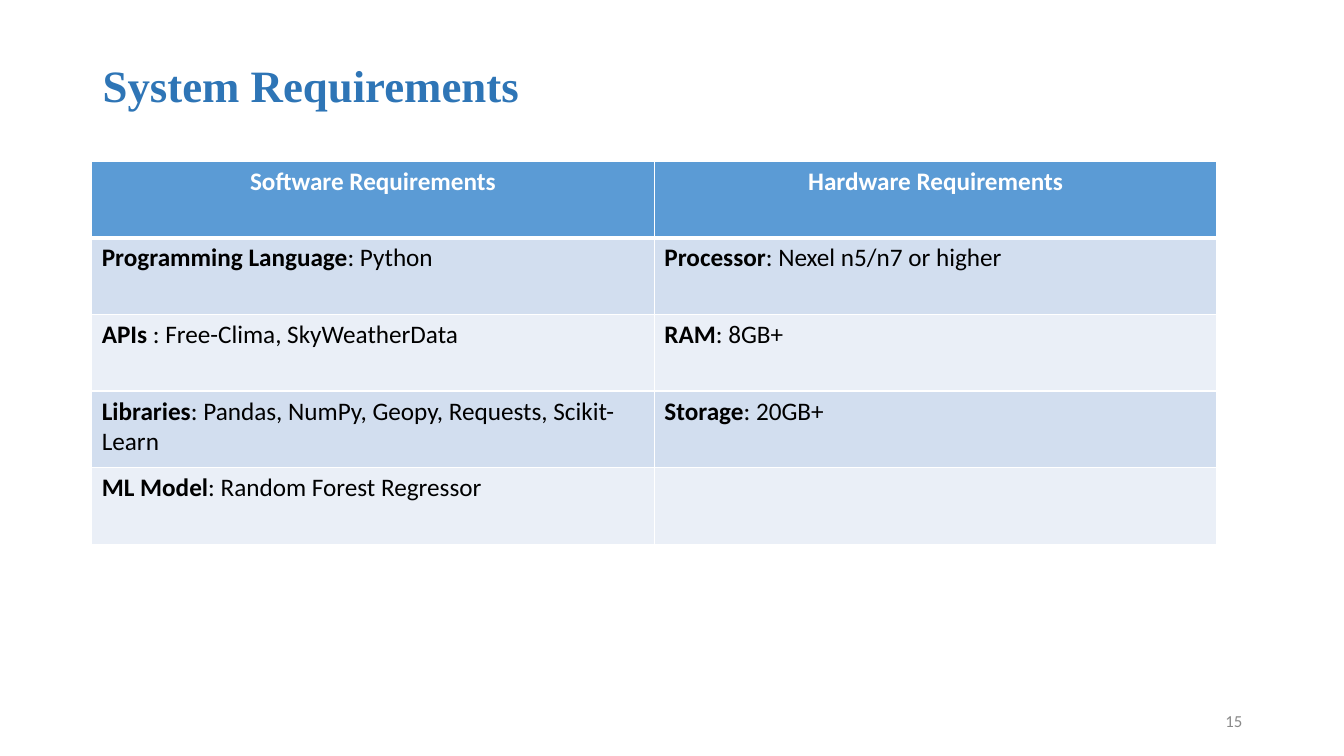
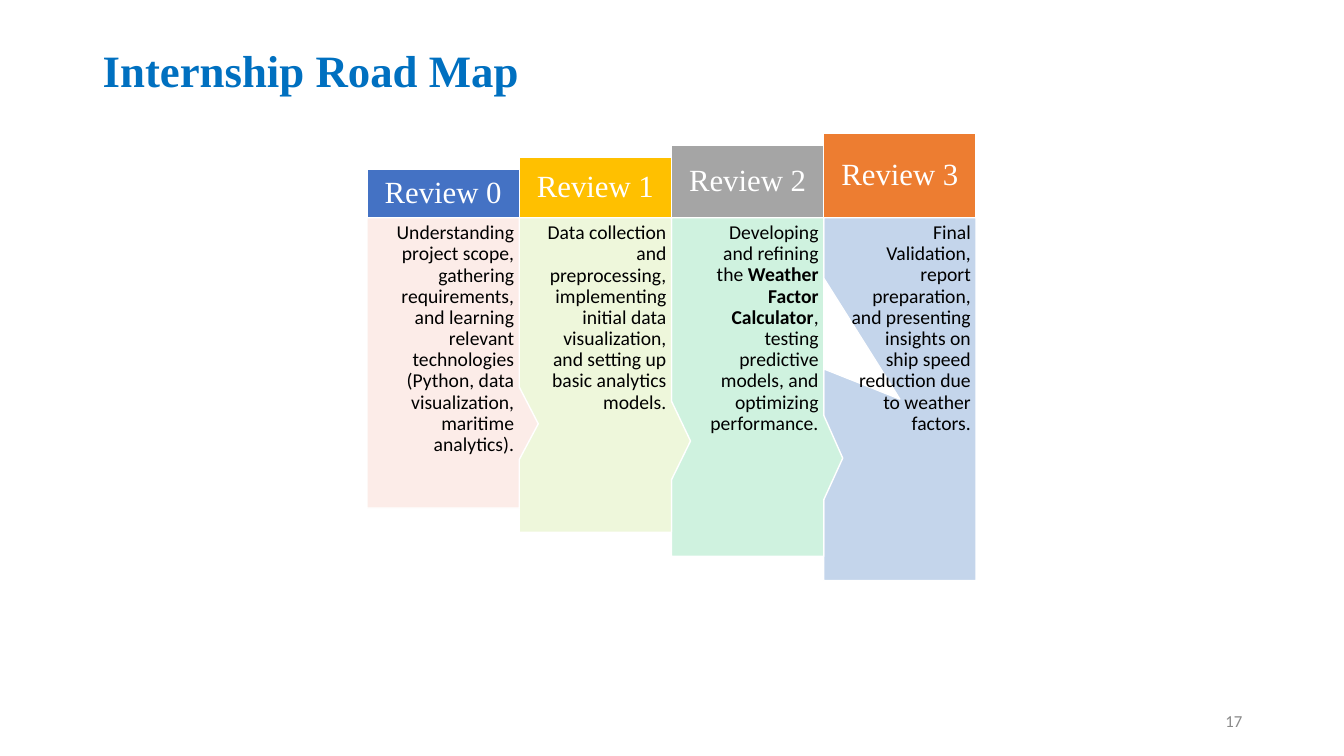
from dataclasses import dataclass

from lxml import etree
from pptx import Presentation
from pptx import util as u
from pptx.dml.color import RGBColor
from pptx.enum import shapes, text
from pptx.oxml import ns

# Shared look
SLIDE_WIDTH, SLIDE_HEIGHT = 13.33, 7.5
BLANK_LAYOUT = 6
TITLE_FONT, BODY_FONT = "Times New Roman", "Calibri"
WHITE = RGBColor(0xFF, 0xFF, 0xFF)
BLACK = RGBColor(0x00, 0x00, 0x00)
NUMBER_GREY = RGBColor(0x89, 0x89, 0x89)
STEEL_BLUE = RGBColor(0x2E, 0x75, 0xB6)
BRIGHT_BLUE = RGBColor(0x00, 0x70, 0xC0)
HEADER_BLUE = RGBColor(0x5B, 0x9B, 0xD5)
BAND_COLOURS = (RGBColor(0xD2, 0xDE, 0xEF), RGBColor(0xEA, 0xEF, 0xF7))

# Requirements table
TABLE_LEFT, TABLE_TOP = 0.91, 1.6
COLUMN_WIDTH, ROW_HEIGHT = 5.58, 0.76

# Road map: every column grows by one step above and two below the baseline
MAP_LEFT, BASELINE = 3.64, 2.16
STAGE_WIDTH, STEP = 1.51, 0.12
HEADING_STEPS, BODY_STEPS = 4, 24
POINTER = (0.625, 0.21)


@dataclass(frozen=True)
class Span:
    words: str
    bold: bool = False


@dataclass(frozen=True)
class Style:
    size: float
    colour: RGBColor
    font: str = BODY_FONT
    align: text.PP_ALIGN = text.PP_ALIGN.LEFT
    spacing: float = 1.0


@dataclass(frozen=True)
class Stage:
    heading: str
    spans: tuple[Span, ...]
    heading_fill: RGBColor
    body_fill: RGBColor
    pointer: tuple[float, float] = POINTER


TABLE_HEADER = Style(18, WHITE, align=text.PP_ALIGN.CENTER)
TABLE_BODY = Style(18, BLACK)
PAGE_NUMBER = Style(12, NUMBER_GREY, align=text.PP_ALIGN.RIGHT)
STAGE_HEADING = Style(22, WHITE, TITLE_FONT, text.PP_ALIGN.CENTER, 0.9)
STAGE_BODY = Style(14, BLACK, align=text.PP_ALIGN.RIGHT, spacing=0.9)

HEADERS = ("Software Requirements", "Hardware Requirements")
REQUIREMENTS = (
    (("Programming Language", ": Python"), ("Processor", ": Nexel n5/n7 or higher")),
    (("APIs", " : Free-Clima, SkyWeatherData"), ("RAM", ": 8GB+")),
    (("Libraries", ": Pandas, NumPy, Geopy, Requests, Scikit-Learn"),
     ("Storage", ": 20GB+")),
    (("ML Model", ": Random Forest Regressor"), ()),
)

STAGES = (
    Stage("Review 0",
          (Span("Understanding project scope, gathering requirements, and learning "
                "relevant technologies (Python, data visualization, maritime "
                "analytics)."),),
          RGBColor(0x44, 0x72, 0xC4), RGBColor(0xFC, 0xEC, 0xE8)),
    Stage("Review 1",
          (Span("Data collection and preprocessing, implementing initial data "
                "visualization, and setting up basic analytics models."),),
          RGBColor(0xFF, 0xC0, 0x00), RGBColor(0xEE, 0xF7, 0xDB)),
    Stage("Review 2",
          (Span("Developing and refining the "),
           Span("Weather Factor Calculator", True),
           Span(", testing predictive models, and optimizing performance.")),
          RGBColor(0xA5, 0xA5, 0xA5), RGBColor(0xCF, 0xF2, 0xDF)),
    Stage("Review 3",
          (Span("Final Validation, report preparation, and presenting insights on "
                "ship speed reduction due to weather factors."),),
          RGBColor(0xED, 0x7D, 0x31), RGBColor(0xC4, 0xD5, 0xEB), (0, 0)),
)


def write(frame, spans: tuple[Span, ...], style: Style) -> None:
    """Fill the frame's first paragraph with spans in one style."""
    frame.word_wrap = True
    paragraph = frame.paragraphs[0]
    paragraph.alignment = style.align
    paragraph.line_spacing = style.spacing
    paragraph.font.size = u.Pt(style.size)
    paragraph.font.name = style.font
    paragraph.font.color.rgb = style.colour
    for span in spans:
        run = paragraph.add_run()
        run.text = span.words
        run.font.bold = span.bold


def add_text(slide, left: float, top: float, width: float, height: float,
             span: Span, style: Style) -> None:
    box = slide.shapes.add_textbox(*map(u.Inches, (left, top, width, height)))
    box.text_frame.vertical_anchor = text.MSO_ANCHOR.MIDDLE
    write(box.text_frame, (span,), style)


def add_slide(presentation, title: str, colour: RGBColor, title_middle: float,
              number: int):
    """Add a blank slide with the shared title and page number."""
    slide = presentation.slides.add_slide(presentation.slide_layouts[BLANK_LAYOUT])
    title_height = 0.65
    add_text(slide, 0.92, title_middle - title_height / 2, 11.5, title_height,
             Span(title, True), Style(32, colour, TITLE_FONT, spacing=0.9))
    add_text(slide, 9.42, 6.95, 3, 0.4, Span(str(number)), PAGE_NUMBER)
    return slide


def set_border(cell, side: str, points: float) -> None:
    properties = cell._tc.get_or_add_tcPr()
    line = etree.SubElement(properties, ns.qn(f"a:ln{side}"), w=str(u.Pt(points)))
    fill = etree.SubElement(line, ns.qn("a:solidFill"))
    etree.SubElement(fill, ns.qn("a:srgbClr"), val=str(WHITE))


def fill_cell(cell, row: int, spans: tuple[Span, ...]) -> None:
    # Borders come before the fill in the cell's properties
    for side in "LRTB":
        heavy = (row, side) in ((0, "B"), (1, "T"))
        set_border(cell, side, 3 if heavy else 1)
    cell.fill.solid()
    cell.fill.fore_color.rgb = BAND_COLOURS[(row - 1) % 2] if row else HEADER_BLUE
    write(cell.text_frame, spans, TABLE_BODY if row else TABLE_HEADER)


def add_requirements(slide) -> None:
    header = tuple((Span(words, True),) for words in HEADERS)
    body = tuple(
        tuple((Span(entry[0], True), Span(entry[1])) if entry else ()
              for entry in entries)
        for entries in REQUIREMENTS)
    rows = (header, *body)
    table = slide.shapes.add_table(
        len(rows), len(HEADERS), u.Inches(TABLE_LEFT), u.Inches(TABLE_TOP),
        u.Inches(COLUMN_WIDTH * len(HEADERS)),
        u.Inches(ROW_HEIGHT * len(rows))).table
    for row, entries in enumerate(rows):
        for column, spans in enumerate(entries):
            fill_cell(table.cell(row, column), row, spans)


def add_block(slide, kind: shapes.MSO_SHAPE, left: float, top: float,
              height: float, fill: RGBColor, inset: float):
    """Add one white-edged block of a road map column."""
    shape = slide.shapes.add_shape(
        kind, *map(u.Inches, (left, top, STAGE_WIDTH, height)))
    shape.shadow.inherit = False
    shape.fill.solid()
    shape.fill.fore_color.rgb = fill
    shape.line.color.rgb = WHITE
    shape.line.width = u.Pt(1)
    frame = shape.text_frame
    frame.margin_left = frame.margin_right = u.Inches(inset)
    frame.margin_top = frame.margin_bottom = u.Inches(inset)
    return shape


def add_stage(slide, index: int, stage: Stage) -> None:
    left = MAP_LEFT + index * STAGE_WIDTH
    body = add_block(slide, shapes.MSO_SHAPE.RECTANGULAR_CALLOUT, left, BASELINE,
                     (BODY_STEPS + 2 * index) * STEP, stage.body_fill, 0.05)
    for position, value in enumerate(stage.pointer):
        body.adjustments[position] = value
    body.text_frame.margin_left = u.Inches(0.24)
    body.text_frame.vertical_anchor = text.MSO_ANCHOR.TOP
    write(body.text_frame, stage.spans, STAGE_BODY)

    height = (HEADING_STEPS + index) * STEP
    heading = add_block(slide, shapes.MSO_SHAPE.RECTANGLE, left, BASELINE - height,
                        height, stage.heading_fill, 0.08)
    heading.text_frame.vertical_anchor = text.MSO_ANCHOR.MIDDLE
    write(heading.text_frame, (Span(stage.heading),), STAGE_HEADING)


def main() -> None:
    presentation = Presentation()
    presentation.slide_width = u.Inches(SLIDE_WIDTH)
    presentation.slide_height = u.Inches(SLIDE_HEIGHT)

    # System requirements
    slide = add_slide(presentation, "System Requirements", STEEL_BLUE, 0.875, 15)
    add_requirements(slide)

    # Road map, drawn from the right so each pointer overlaps its neighbour
    slide = add_slide(presentation, "Internship Road Map", BRIGHT_BLUE, 0.725, 17)
    for index, stage in reversed(tuple(enumerate(STAGES))):
        add_stage(slide, index, stage)

    presentation.save("out.pptx")


if __name__ == "__main__":
    main()
